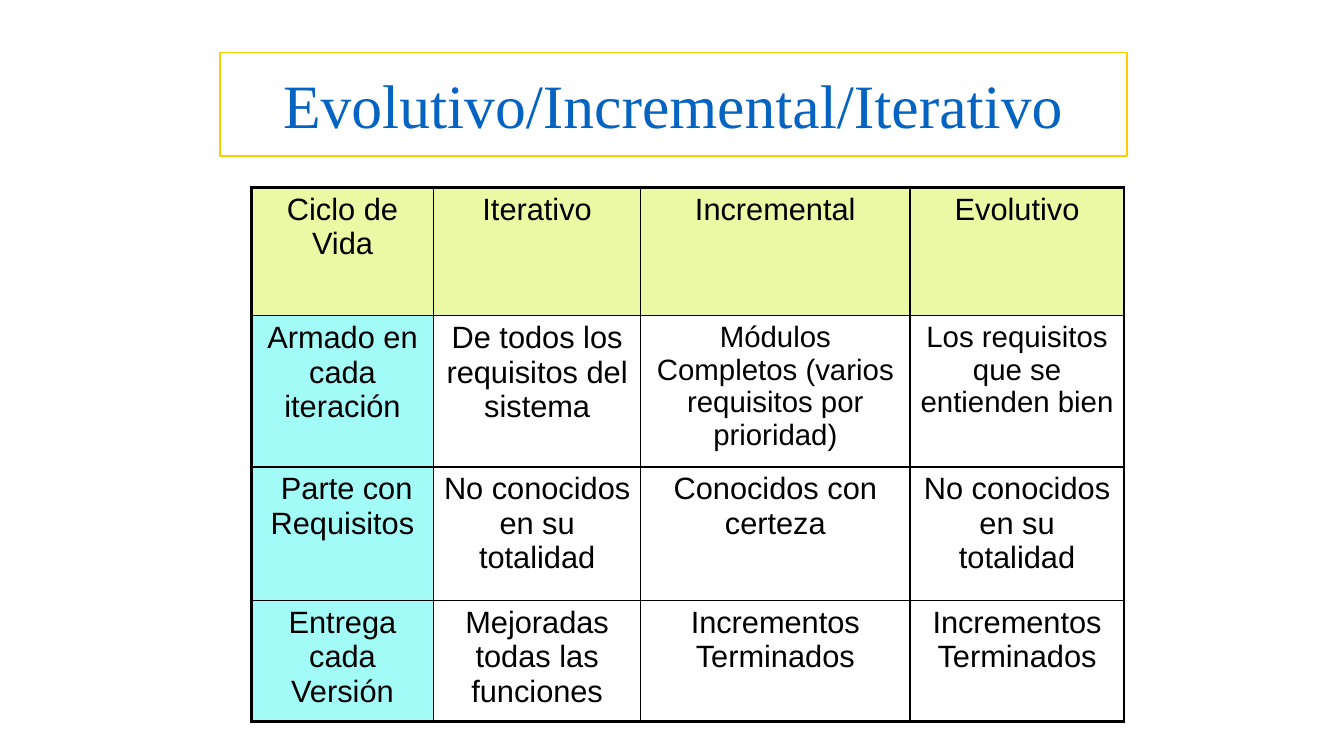
from lxml.etree import SubElement
from pptx import Presentation
from pptx.dml.color import RGBColor
from pptx.enum.text import MSO_ANCHOR, MSO_AUTO_SIZE, PP_ALIGN
from pptx.oxml.ns import qn
from pptx.util import Pt

COLORS = {
    "title": "0563C1",
    "frame": "FFCC00",
    "ink": "000000",
    "header": "EBF9A5",
    "row_label": "A3FBF7",
}
THIN, THICK = 1, 2.25
COLUMN_WIDTHS = [130.3, 147.8, 192.5, 152.9]
ROW_HEIGHTS = [91.5, 108.1, 95.2, 86.4]
LIFE_CYCLES = [
    ["Ciclo de Vida", "Iterativo", "Incremental", "Evolutivo"],
    ["Armado en cada iteración", "De todos los requisitos del sistema",
     "Módulos Completos (varios requisitos por prioridad)",
     "Los requisitos que se entienden bien"],
    [" Parte con Requisitos", "No conocidos en su totalidad",
     "Conocidos con certeza", "No conocidos en su totalidad"],
    ["Entrega cada Versión", "Mejoradas todas las funciones",
     "Incrementos Terminados", "Incrementos Terminados"],
]
SMALLER_CELLS = {(1, 2), (1, 3)}


def color(name):
    return RGBColor.from_string(COLORS[name])


def format_paragraph(paragraph, font_name, size, color_name):
    paragraph.alignment = PP_ALIGN.CENTER
    paragraph.font.name = font_name
    paragraph.font.size = Pt(size)
    paragraph.font.color.rgb = color(color_name)


def add_title(slide, text):
    title = slide.shapes.title
    title.left, title.top = Pt(157), Pt(37.5)
    title.width, title.height = Pt(648), Pt(74)
    title.line.color.rgb = color("frame")
    title.line.width = Pt(1.25)
    frame = title.text_frame
    frame.text = text
    frame.word_wrap = True
    frame.auto_size = MSO_AUTO_SIZE.NONE
    frame.vertical_anchor = MSO_ANCHOR.MIDDLE
    format_paragraph(frame.paragraphs[0], "Times New Roman", 44, "title")


def set_borders(cell, outer_sides):
    """Draw all four sides, with the table's outer sides thicker."""
    properties = cell._tc.get_or_add_tcPr()
    for side in "LRTB":
        width = THICK if side in outer_sides else THIN
        line = SubElement(properties, qn(f"a:ln{side}"), w=str(Pt(width)))
        fill = SubElement(line, qn("a:solidFill"))
        SubElement(fill, qn("a:srgbClr"), val=COLORS["ink"])


def fill_cell(cell, row, column):
    if row == 0 or column == 0:
        cell.fill.solid()
        cell.fill.fore_color.rgb = color("header" if row == 0 else "row_label")
    else:
        cell.fill.background()


def add_comparison(slide):
    last_row, last_column = len(ROW_HEIGHTS) - 1, len(COLUMN_WIDTHS) - 1
    table = slide.shapes.add_table(
        len(ROW_HEIGHTS), len(COLUMN_WIDTHS), Pt(179.5), Pt(134),
        Pt(sum(COLUMN_WIDTHS)), Pt(sum(ROW_HEIGHTS))).table
    table.first_row = table.horz_banding = False
    for column, width in zip(table.columns, COLUMN_WIDTHS):
        column.width = Pt(width)
    for row, height in zip(table.rows, ROW_HEIGHTS):
        row.height = Pt(height)

    for r, texts in enumerate(LIFE_CYCLES):
        for c, text in enumerate(texts):
            cell = table.cell(r, c)
            cell.text = text
            size = 21 if (r, c) in SMALLER_CELLS else 22
            format_paragraph(cell.text_frame.paragraphs[0], "Arial", size, "ink")
            edges = {"L": c == 0, "R": c == last_column,
                     "T": r == 0, "B": r == last_row}
            set_borders(cell, [side for side, outer in edges.items() if outer])
            fill_cell(cell, r, c)


def main():
    presentation = Presentation()
    presentation.slide_width, presentation.slide_height = Pt(960), Pt(540)
    slide = presentation.slides.add_slide(presentation.slide_layouts[5])
    add_title(slide, "Evolutivo/Incremental/Iterativo")
    add_comparison(slide)
    presentation.save("out.pptx")


if __name__ == "__main__":
    main()
